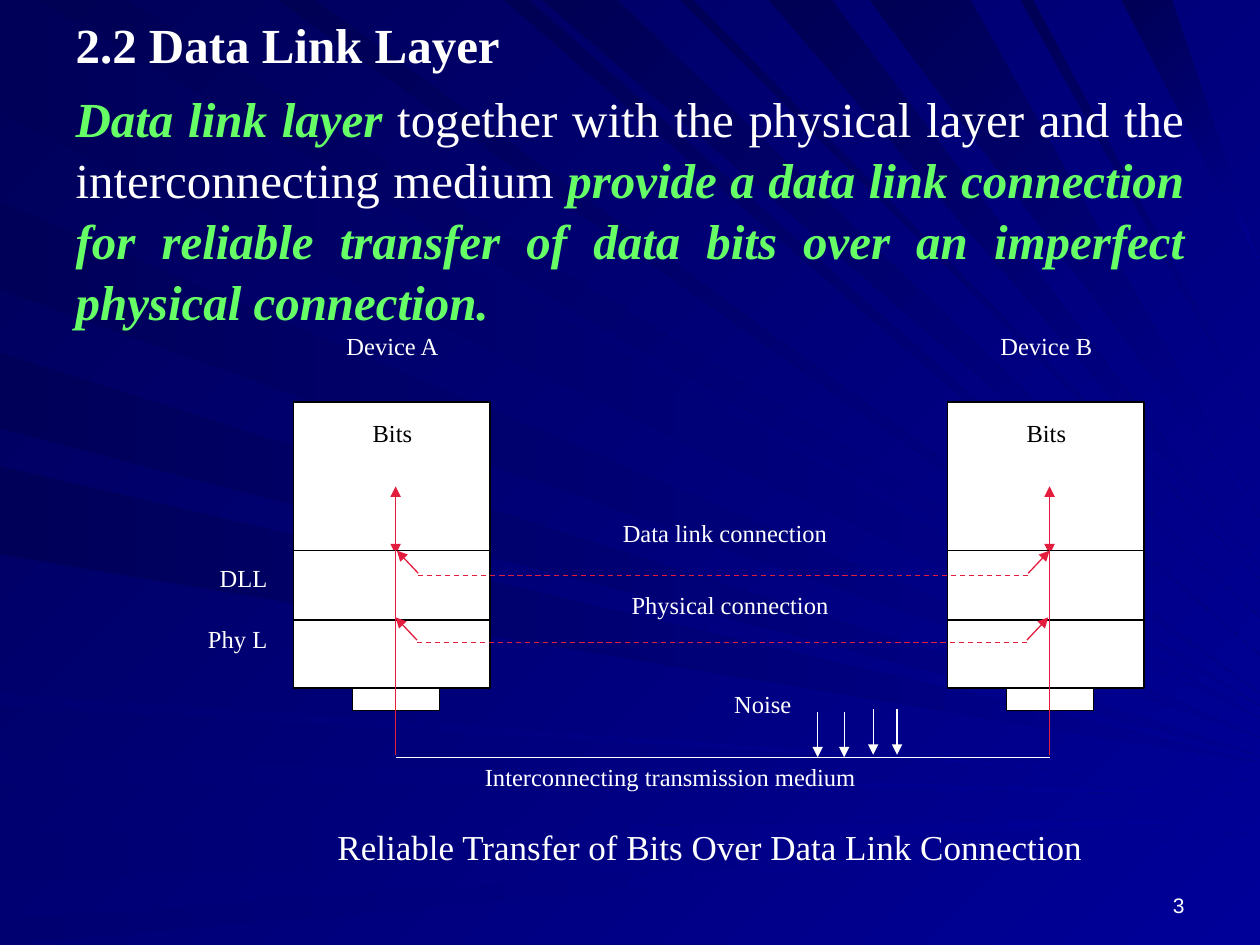
from lxml.etree import SubElement
from pptx import Presentation
from pptx.dml.color import RGBColor
from pptx.enum.dml import MSO_LINE
from pptx.enum.shapes import MSO_CONNECTOR, MSO_SHAPE
from pptx.enum.text import MSO_ANCHOR, MSO_AUTO_SIZE, PP_ALIGN
from pptx.oxml.ns import qn
from pptx.util import Inches, Pt

WHITE, BLACK, RED, GREEN = "FFFFFF", "000000", "E31D3E", "66FF66"
SERIF = "Times New Roman"
DEVICE_GAP = 5.19

LEFT_RAYS = [(0, 0.9, 5.7), (1.6, 2.3, 5.85), (2.8, 3.4, 6), (3.7, 4.4, 6.05)]
LOW_RAYS = [(5.5, 5.6, 6.2), (6, 6.2, 6.3), (6.6, 7, 6.5), (7.3, 7.5, 6.6)]
TOP_RAYS = [(0.3, 1, 5.6), (2.2, 2.5, 5.5), (4, 4.2, 5.2), (4.3, 4.9, 4.9),
            (5.4, 5.5, 4.6), (6.1, 6.6, 4.5), (6.9, 7.7, 4.1), (8.1, 8.2, 3.4),
            (8.9, 9.3, 2.1)]


def rgb(value):
    return RGBColor.from_string(value)


def set_attrs(obj, **fmt):
    for name, value in fmt.items():
        setattr(obj, name, value)


def place(sp, *box):
    for name, value in zip(("left", "top", "width", "height"), box):
        setattr(sp, name, Inches(value))


def paint(fill, start, end=None, angle=0):
    if end is None:
        fill.solid()
        fill.fore_color.rgb = rgb(start)
        return
    fill.gradient()
    fill.gradient_angle = (360 - angle) % 360
    for stop, color in zip(fill.gradient_stops, (start, end)):
        stop.color.rgb = rgb(color)


def add_rays(s, rays, start, end, angle=0, from_top=False):
    for near, far, tip in rays:
        base = [(near, 0), (far, 0)] if from_top else [(0, near), (0, far)]
        points = [(Inches(x), Inches(y)) for x, y in base + [(10, tip)]]
        builder = s.shapes.build_freeform(*points[0])
        builder.add_line_segments(points[1:], close=True)
        sp = builder.convert_to_shape()
        sp.shadow.inherit = False
        sp.line.fill.background()
        paint(sp.fill, start, end, angle)


def add_run(p, text, color=WHITE, size=14, name=SERIF, bold=False, italic=False):
    r = p.add_run()
    r.text = text
    set_attrs(r.font, size=Pt(size), name=name, bold=bold, italic=italic)
    r.font.color.rgb = rgb(color)


def write(sp, lines, align=PP_ALIGN.CENTER, anchor=MSO_ANCHOR.TOP, gap=0, **fmt):
    tf = sp.text_frame
    set_attrs(tf, word_wrap=True, vertical_anchor=anchor)
    for i, line in enumerate(lines):
        p = tf.add_paragraph() if i else tf.paragraphs[0]
        set_attrs(p, alignment=align, space_before=Pt(gap if i else 0))
        add_run(p, line, **fmt)


def add_label(s, box, *lines, **fmt):
    write(s.shapes.add_textbox(*map(Inches, box)), lines, **fmt)


def add_box(s, box, line=BLACK):
    sp = s.shapes.add_shape(MSO_SHAPE.RECTANGLE, *map(Inches, box))
    sp.shadow.inherit = False
    paint(sp.fill, WHITE)
    sp.line.color.rgb = rgb(line)
    sp.line.width = Pt(0.75)
    return sp


def add_line(s, start, end, color=RED, ends=(), dash=None):
    c = s.shapes.add_connector(MSO_CONNECTOR.STRAIGHT, *map(Inches, start + end))
    c.line.color.rgb = rgb(color)
    set_attrs(c.line, width=Pt(0.75), dash_style=dash)
    ln = c.line._get_or_add_ln()
    for tag in ends:
        SubElement(ln, qn(tag), type="triangle")
    SubElement(c.element.spPr, qn("a:effectLst"))


def add_device(s, name, dx):
    add_box(s, (2.8 + dx, 5.46, 0.69, 0.18))
    add_box(s, (2.33 + dx, 4.91, 1.56, 0.55))
    add_box(s, (2.33 + dx, 3.19, 1.56, 1.19))
    write(add_box(s, (2.68 + dx, 3.27, 0.87, 0.54), WHITE), ["Bits"], color=BLACK)
    x = 3.14 + dx
    add_line(s, (x, 4.4), (x, 3.86), ends=("a:headEnd", "a:tailEnd"))
    add_box(s, (2.33 + dx, 4.37, 1.56, 0.55))
    add_line(s, (x, 4.36), (x, 5.99))
    add_label(s, (2.42 + dx, 2.58, 1.39, 0.54), name)


def add_connection(s, name, y, dx, box):
    add_label(s, box, name)
    for x, tip in ((8.15, 8.32), (3.31, 3.14)):
        add_line(s, (x + dx, y - 0.02), (tip + dx, y - 0.2), ends=["a:tailEnd"])
    add_line(s, (8.15 + dx, y), (3.3 + dx, y), dash=MSO_LINE.DASH)


def add_heading(s):
    title, body = s.placeholders
    for sp in (title, body):
        sp.element.getparent().append(sp.element)
        sp.text_frame.auto_size = MSO_AUTO_SIZE.NONE
    place(title, 0.5, 0, 9, 0.7)
    write(title, ["2.2 Data Link Layer"], PP_ALIGN.LEFT, MSO_ANCHOR.MIDDLE, size=28, bold=True)
    place(body, 0.5, 0.63, 9, 5.76)
    p = body.text_frame.paragraphs[0]
    pPr = p._p.get_or_add_pPr()
    pPr.set("marL", "0")
    pPr.set("indent", "0")
    SubElement(pPr, qn("a:buNone"))
    set_attrs(p, alignment=PP_ALIGN.JUSTIFY, space_before=Pt(0), line_spacing=1.04)
    strong = dict(color=GREEN, size=28, bold=True, italic=True)
    add_run(p, "Data link layer", **strong)
    add_run(p, " together with the physical layer and the interconnecting medium ", size=28)
    add_run(p, "provide a data link connection for reliable transfer of data bits "
               "over an imperfect physical connection.", **strong)


def main():
    prs = Presentation()
    set_attrs(prs, slide_width=Inches(10), slide_height=Inches(7.5))
    s = prs.slides.add_slide(prs.slide_layouts[1])
    paint(s.background.fill, "000058", "000099", 45)
    add_rays(s, LEFT_RAYS, "000058", "000090")
    add_rays(s, LOW_RAYS, "000070", "000099")
    add_rays(s, TOP_RAYS, "000055", "000090", 45, from_top=True)
    add_heading(s)
    add_label(s, (7.17, 6.83, 2.33, 0.5), "3", align=PP_ALIGN.RIGHT,
              anchor=MSO_ANCHOR.BOTTOM, size=12, name="Arial")
    for i, name in enumerate(("Device A", "Device B")):
        add_device(s, name, i * DEVICE_GAP)
    add_connection(s, "Data link connection", 4.57, 0.01, (4.37, 4.06, 2.77, 0.55))
    add_connection(s, "Physical connection", 5.1, 0, (4.41, 4.63, 2.77, 0.55))
    add_line(s, (8.33, 6.01), (3.14, 6.01), WHITE)
    for x, y in ((6.49, 5.65), (6.7, 5.65), (6.93, 5.63), (7.12, 5.63)):
        add_line(s, (x, y), (x, y + 0.36), WHITE, ["a:tailEnd"])
    add_label(s, (5.17, 5.42, 1.21, 0.55), "Noise", align=PP_ALIGN.RIGHT)
    add_label(s, (3.75, 6, 4.54, 0.55), "Interconnecting transmission medium", align=PP_ALIGN.LEFT)
    add_label(s, (1.33, 4.42, 0.89, 0.91), "DLL", "Phy L", align=PP_ALIGN.RIGHT, gap=18)
    add_label(s, (2.49, 6.5, 6.2, 0.44), "Reliable Transfer of Bits Over Data Link Connection",
              align=PP_ALIGN.RIGHT, anchor=MSO_ANCHOR.MIDDLE, size=20)
    prs.save("out.pptx")


if __name__ == "__main__":
    main()
